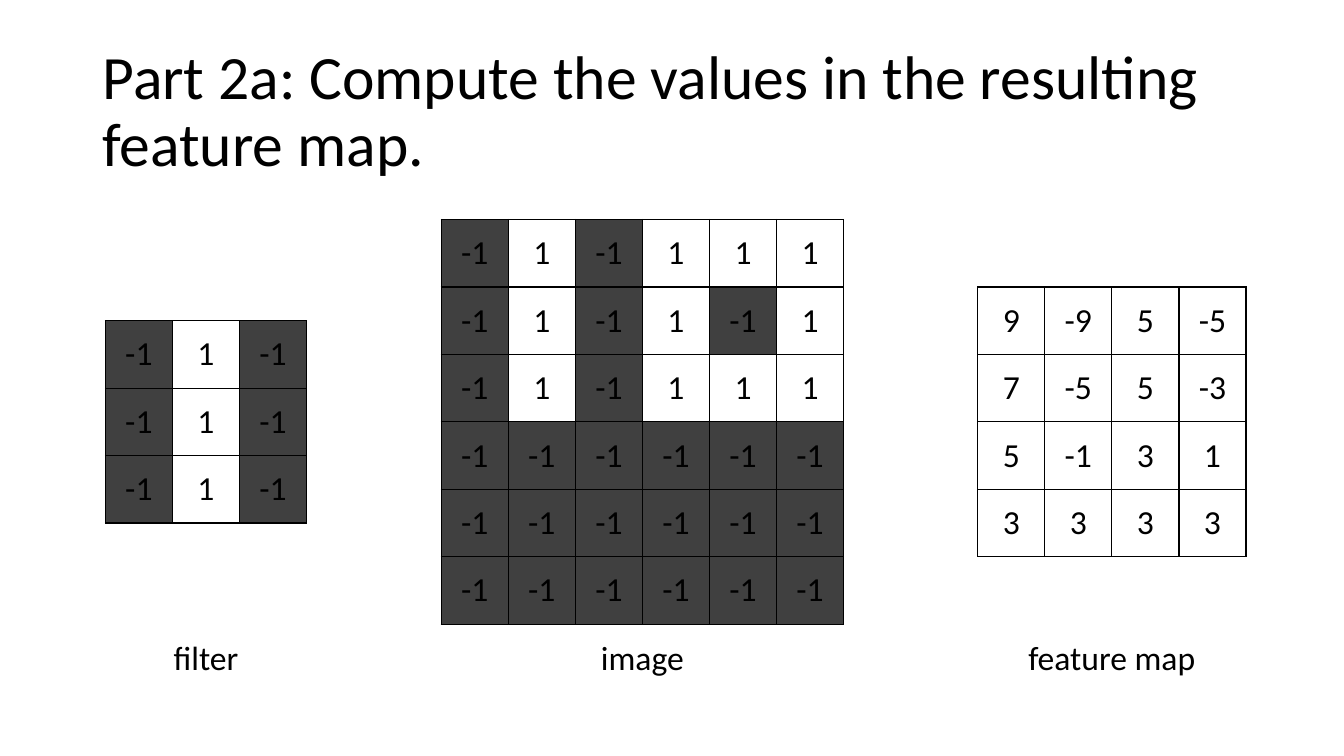
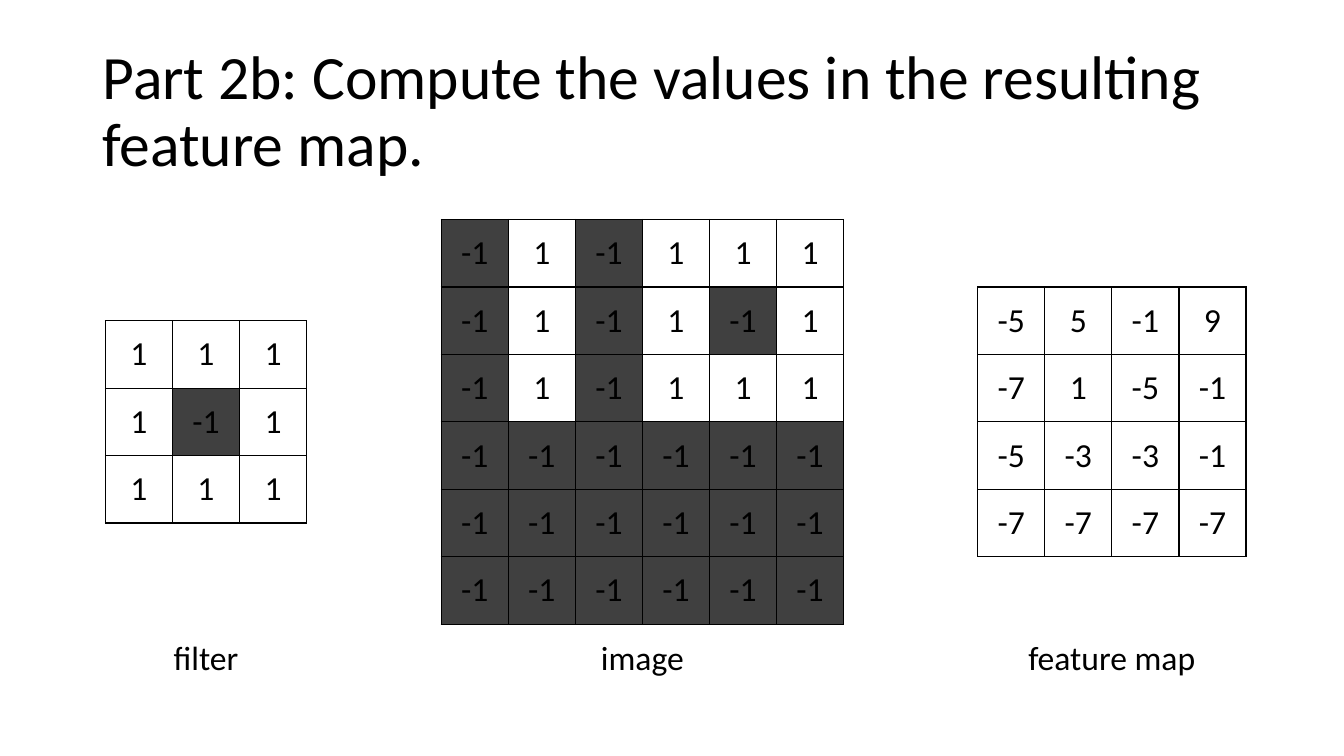
from pptx import Presentation
from pptx.dml.color import RGBColor
from pptx.enum.text import MSO_ANCHOR, MSO_AUTO_SIZE, PP_ALIGN
from pptx.oxml import parse_xml
from pptx.oxml.ns import nsdecls
from pptx.util import Cm, Pt

BLACK = RGBColor(0x00, 0x00, 0x00)
WHITE = RGBColor(0xFF, 0xFF, 0xFF)
DARK = RGBColor(0x40, 0x40, 0x40)
FILLS = {-1: DARK, 1: WHITE}

CELL_W, CELL_H = 1.69, 1.7
MID_Y = 10.63
LABEL_Y, LABEL_H = 15.93, 1.27
MARGINS = {"margin_left": Cm(0.33), "margin_right": Cm(0.33),
           "margin_top": Cm(0.18), "margin_bottom": Cm(0.18)}
TITLE_BOX = {"left": Cm(2.33), "top": Cm(1.01),
             "width": Cm(29.21), "height": Cm(3.68)}
TITLE_FRAME = {"vertical_anchor": MSO_ANCHOR.MIDDLE, "word_wrap": True,
               "auto_size": MSO_AUTO_SIZE.NONE}
LABEL_FRAME = {"word_wrap": False, "auto_size": MSO_AUTO_SIZE.SHAPE_TO_FIT_TEXT}

IMAGE = [[-1, 1, -1, 1, 1, 1],
         [-1, 1, -1, 1, -1, 1],
         [-1, 1, -1, 1, 1, 1]] + [[-1] * 6] * 3
PARTS = {"2a": [[-1, 1, -1]] * 3,
         "2b": [[1, 1, 1], [1, -1, 1], [1, 1, 1]]}


def write(frame, text, size, align):
    """Put one formatted paragraph into a text frame."""
    para = frame.paragraphs[0]
    para.alignment = align
    run = para.add_run()
    run.text = text
    for name, value in {"name": "Calibri", "size": Pt(size), "bold": False}.items():
        setattr(run.font, name, value)
    run.font.color.rgb = BLACK
    return para


def draw_grid(slide, mid_x, rows, filled):
    """Draw a square table of numbers around a centre point."""
    count = len(rows)
    wide, high = CELL_W * count, CELL_H * count
    table = slide.shapes.add_table(
        count, count, Cm(mid_x - wide / 2), Cm(MID_Y - high / 2), Cm(wide), Cm(high)).table
    table.first_row = table.horz_banding = False
    for i in range(count):
        table.columns[i].width = Cm(CELL_W)
        table.rows[i].height = Cm(CELL_H)
        for j, value in enumerate(rows[i]):
            cell = table.cell(i, j)
            cell.vertical_anchor = MSO_ANCHOR.MIDDLE
            for name, size in MARGINS.items():
                setattr(cell, name, size)
            write(cell.text_frame, str(value), 24, PP_ALIGN.CENTER)
            if filled:
                cell.fill.solid()
                cell.fill.fore_color.rgb = FILLS[value]
            else:
                cell.fill.background()
            props = cell._tc.get_or_add_tcPr()
            for spot, side in enumerate("LRTB"):
                props.insert(spot, parse_xml(
                    f'<a:ln{side} {nsdecls("a")} w="{Pt(1)}"><a:solidFill>'
                    f'<a:srgbClr val="{BLACK}"/></a:solidFill></a:ln{side}>'))


deck = Presentation()
deck.slide_width, deck.slide_height = Cm(33.87), Cm(19.05)

for part, kernel in PARTS.items():
    slide = deck.slides.add_slide(deck.slide_layouts[5])
    title = slide.shapes.title
    for name, value in TITLE_BOX.items():
        setattr(title, name, value)
    for name, value in TITLE_FRAME.items():
        setattr(title.text_frame, name, value)
    para = write(title.text_frame,
                 f"Part {part}: Compute the values in the resulting feature map.",
                 44, PP_ALIGN.LEFT)
    para.line_spacing = 0.9

    # Slide the filter over the image and sum the products.
    side = len(kernel)
    steps = range(len(IMAGE) - side + 1)
    result = [[sum(kernel[i][j] * IMAGE[y + i][x + j]
                   for i in range(side) for j in range(side))
               for x in steps] for y in steps]

    for label, mid_x, wide, rows, filled in [
            ("filter", 5.19, 2.16, kernel, True),
            ("image", 16.19, 2.62, IMAGE, True),
            ("feature map", 28.02, 4.78, result, False)]:
        draw_grid(slide, mid_x, rows, filled)
        box = slide.shapes.add_textbox(
            Cm(mid_x - wide / 2), Cm(LABEL_Y), Cm(wide), Cm(LABEL_H))
        for name, value in LABEL_FRAME.items():
            setattr(box.text_frame, name, value)
        write(box.text_frame, label, 24, PP_ALIGN.CENTER)

deck.save("out.pptx")
